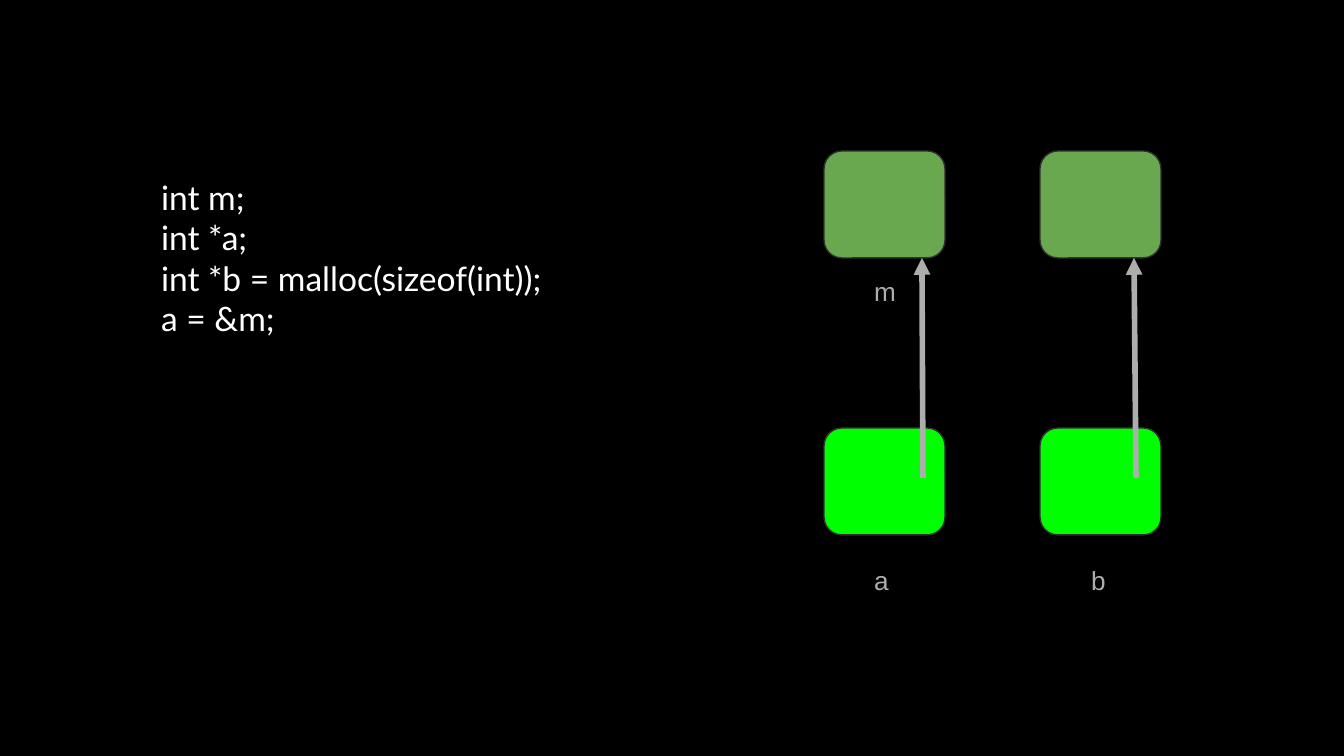
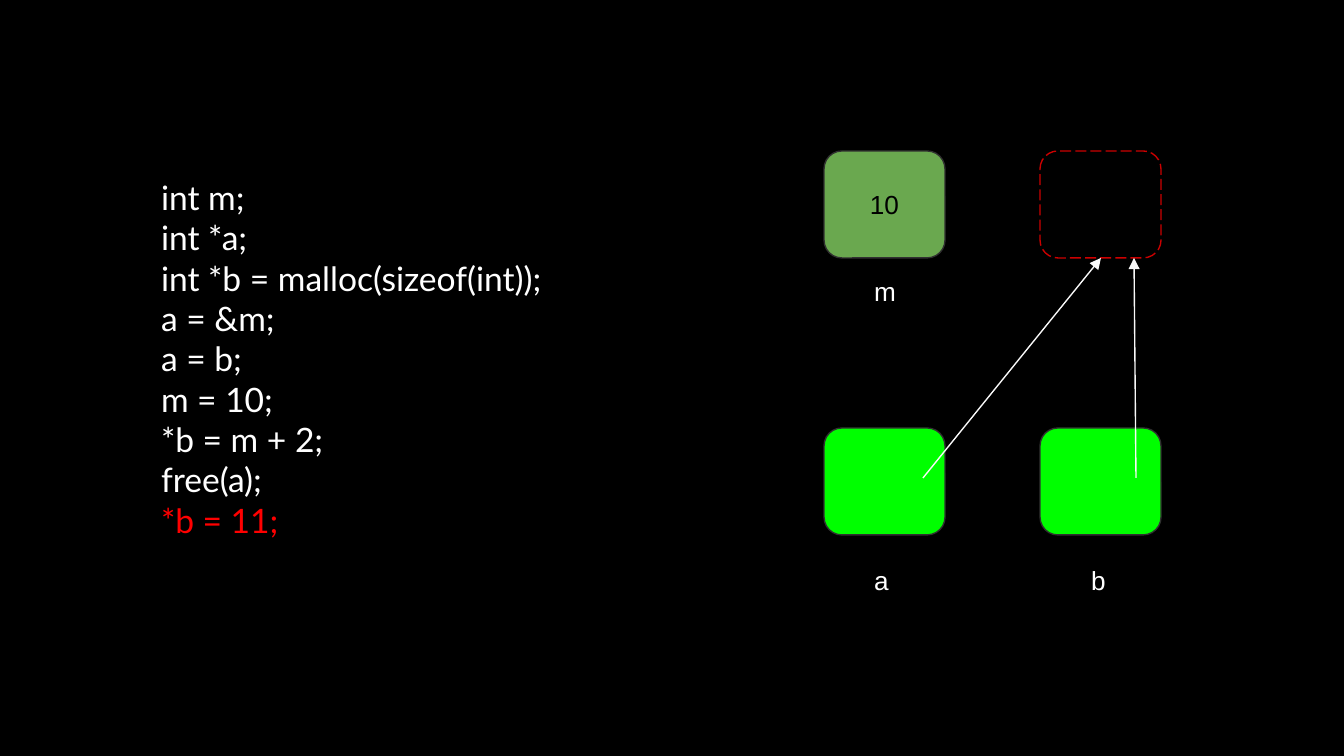
from lxml import etree
from pptx import Presentation
from pptx.dml.color import RGBColor
from pptx.enum.dml import MSO_LINE
from pptx.enum.shapes import MSO_CONNECTOR, MSO_SHAPE
from pptx.enum.text import MSO_ANCHOR, PP_ALIGN
from pptx.oxml.ns import qn
from pptx.util import Pt

ROUNDED = MSO_SHAPE.ROUNDED_RECTANGLE
STRAIGHT = MSO_CONNECTOR.STRAIGHT
LONG_DASH = MSO_LINE.LONG_DASH
TOP, MIDDLE = MSO_ANCHOR.TOP, MSO_ANCHOR.MIDDLE
LEFT, CENTER = PP_ALIGN.LEFT, PP_ALIGN.CENTER

EMU_PER_PX = 914400 / 134.4
SLIDE_SIZE = (1344, 756)
CODE_BOX = (148, 164, 602, 196)
MEMORY_BOX = (824, 151, 460, 440)
CELL_WIDTH, CELL_HEIGHT = 121, 107
COLUMN_STEP, ROW_STEP = 216, 277
INSET = 13
LABEL_INDENT = 37

COLORS = {
    "background": "000000",
    "code": "FFFFFF",
    "error": "FF0000",
    "pointer": "00FF00",
    "value": "6AA84F",
    "outline": "303030",
    "freed": "CC0000",
    "muted": "ADADAD",
    "bright": "FFFFFF",
    "thin_arrow": "F9F9F9",
    "number": "000000",
}

DECLARATIONS = ["int m;", "int *a;", "int *b = malloc(sizeof(int));", "a = &m;"]
ASSIGNMENTS = ["a = b;", "m = 10;", "*b = m + 2;", "free(a);"]


def px(length):
    return round(length * EMU_PER_PX)


def rgb(name):
    return RGBColor.from_string(COLORS[name])


def write(shape, lines, font="Arial", size=14, color="bright", last_color=None,
          align=LEFT, anchor=TOP, tabs=()):
    frame = shape.text_frame
    frame.word_wrap = True
    frame.vertical_anchor = anchor
    frame.margin_left = frame.margin_right = px(INSET)
    frame.margin_top = frame.margin_bottom = px(INSET)
    for index, line in enumerate(lines):
        paragraph = frame.add_paragraph() if index else frame.paragraphs[0]
        paragraph.alignment = align
        if tabs:
            properties = paragraph._p.get_or_add_pPr()
            stops = etree.SubElement(properties, qn("a:tabLst"))
            for position in tabs:
                etree.SubElement(stops, qn("a:tab"), pos=str(px(position)), algn="l")
        run = paragraph.add_run()
        run.text = line
        run.font.name = font
        run.font.size = Pt(size)
        is_last = index == len(lines) - 1
        run.font.color.rgb = rgb(last_color if last_color and is_last else color)


def add_text(slide, box, lines, **text_format):
    write(slide.shapes.add_textbox(*map(px, box)), lines, **text_format)


def add_cell(slide, left, top, fill=None, outline="outline", dash=None, number=None):
    box = (left, top, CELL_WIDTH, CELL_HEIGHT)
    shape = slide.shapes.add_shape(ROUNDED, *map(px, box))
    shape.shadow.inherit = False
    if fill:
        shape.fill.solid()
        shape.fill.fore_color.rgb = rgb(fill)
    else:
        shape.fill.background()
    shape.line.color.rgb = rgb(outline)
    shape.line.width = Pt(0.75)
    if dash:
        shape.line.dash_style = dash
    if number:
        write(shape, [number], color="number", align=CENTER, anchor=MIDDLE)


def add_arrow(slide, start, end, color, width):
    arrow = slide.shapes.add_connector(STRAIGHT, *map(px, (*start, *end)))
    arrow.line.color.rgb = rgb(color)
    arrow.line.width = Pt(width)
    properties = arrow._element.spPr
    etree.SubElement(properties.find(qn("a:ln")), qn("a:tailEnd"), type="triangle")
    etree.SubElement(properties, qn("a:effectLst"))


def add_code(slide, box, lines, last_color=None):
    add_text(slide, box, lines, font="Lato", size=18, color="code", last_color=last_color)


def add_memory(slide, box, label_color, arrow_color, arrow_width,
               m_number=None, freed=False):
    left, top, width, _ = box
    right = left + COLUMN_STEP
    bottom = top + ROW_STEP
    for column in (right, left):
        add_cell(slide, column, bottom, fill="pointer")
    add_text(slide, (left, top + 400, width, 40), ["\ta\tb"], color=label_color,
             tabs=(LABEL_INDENT, LABEL_INDENT + COLUMN_STEP + 1))
    add_cell(slide, left, top, fill="value", number=m_number)
    if freed:
        add_cell(slide, right, top, outline="freed", dash=LONG_DASH)
    else:
        add_cell(slide, right, top, fill="value")
    add_text(slide, (left, top + 111, 228, 40), ["\tm"], color=label_color,
             tabs=(LABEL_INDENT,))
    arrow_start = top + 327
    arrow_end = top + CELL_HEIGHT
    a_target = right + 61 if freed else left + 98
    for start, target in ((left + 99, a_target), (right + 96, right + 94)):
        add_arrow(slide, (start, arrow_start), (target, arrow_end),
                  arrow_color, arrow_width)


def add_slide(presentation, lines, last_color=None, **memory):
    slide = presentation.slides.add_slide(presentation.slide_layouts[6])
    slide.background.fill.solid()
    slide.background.fill.fore_color.rgb = rgb("background")
    add_code(slide, CODE_BOX, lines, last_color)
    add_memory(slide, MEMORY_BOX, **memory)


def main():
    presentation = Presentation()
    presentation.slide_width, presentation.slide_height = map(px, SLIDE_SIZE)
    add_slide(presentation, DECLARATIONS,
              label_color="muted", arrow_color="muted", arrow_width=3)
    add_slide(presentation, DECLARATIONS + ASSIGNMENTS + ["*b = 11;"],
              last_color="error", label_color="bright", arrow_color="thin_arrow",
              arrow_width=0.75, m_number="10", freed=True)
    presentation.save("out.pptx")


if __name__ == "__main__":
    main()
